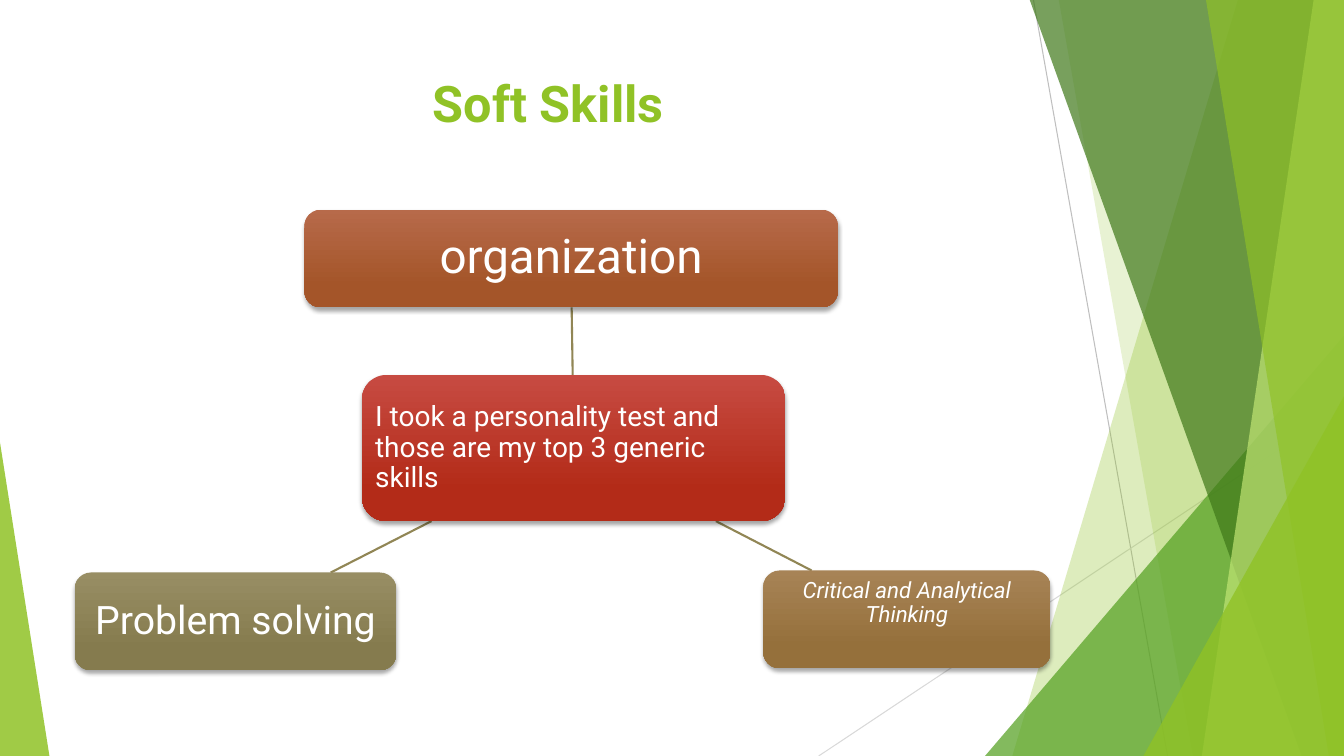
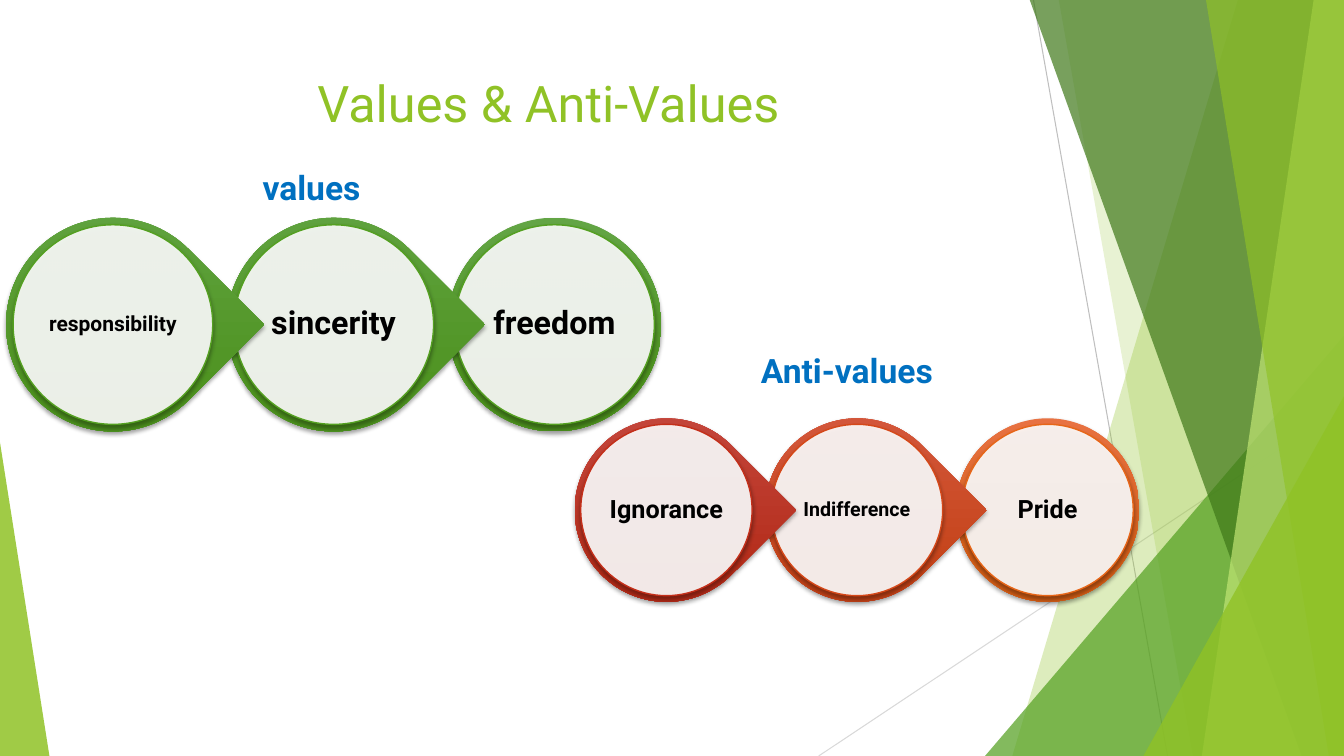
import pptx
import pptx.util
import pptx.dml.color
import pptx.enum.shapes
import pptx.enum.text
import pptx.oxml.ns
import lxml.etree

Inches = pptx.util.Inches
Pt = pptx.util.Pt
RGBColor = pptx.dml.color.RGBColor
SHAPE = pptx.enum.shapes.MSO_SHAPE
STRAIGHT = pptx.enum.shapes.MSO_CONNECTOR.STRAIGHT
ALIGN = pptx.enum.text.PP_ALIGN
ANCHOR = pptx.enum.text.MSO_ANCHOR
qn = pptx.oxml.ns.qn

WIDTH, HEIGHT = 13.33, 7.5
FONT = "Roboto"
WHITE = RGBColor(0xFF, 0xFF, 0xFF)
BLACK = RGBColor(0x00, 0x00, 0x00)
LIME = RGBColor(0x90, 0xC2, 0x26)
PALE_LIME = RGBColor(0xC0, 0xE4, 0x74)
GREEN = RGBColor(0x54, 0xA0, 0x21)
DARK_GREEN = RGBColor(0x3F, 0x78, 0x19)
GREY = RGBColor(0xBF, 0xBF, 0xBF)
LIGHT_GREY = RGBColor(0xD9, 0xD9, 0xD9)
BLUE = RGBColor(0x00, 0x70, 0xC0)
OLIVE_LINE = RGBColor(0x91, 0x86, 0x55)
RED = RGBColor(0xC4, 0x2F, 0x1A)
VERMILION = RGBColor(0xD5, 0x48, 0x19)
ORANGE = RGBColor(0xE7, 0x66, 0x18)
GREEN_BLEND = (RGBColor(0x63, 0xA5, 0x45), RGBColor(0x4D, 0x92, 0x1E))
RED_BLEND = (RGBColor(0xC7, 0x4B, 0x42), RGBColor(0xB3, 0x2B, 0x18))
VERMILION_BLEND = (RGBColor(0xD7, 0x5B, 0x42), RGBColor(0xC3, 0x42, 0x17))
ORANGE_BLEND = (RGBColor(0xE8, 0x72, 0x42), RGBColor(0xD3, 0x5D, 0x16))
SIENNA_BLEND = (RGBColor(0xB7, 0x6A, 0x4A), RGBColor(0xA4, 0x55, 0x29))
BROWN_BLEND = (RGBColor(0xA7, 0x83, 0x56), RGBColor(0x95, 0x70, 0x3B))
OLIVE_BLEND = (RGBColor(0x98, 0x8E, 0x64), RGBColor(0x85, 0x7B, 0x4E))


def paint(shape, colours, opacity=100, shadow=True):
    properties = shape._element.spPr
    shape.line.fill.background()
    if len(colours) == 2:
        shape.fill.gradient()
        shape.fill.gradient_angle = 270 + shape.rotation
        for stop, colour, position in zip(shape.fill.gradient_stops, colours, (0, 0.78)):
            stop.color.rgb = colour
            stop.position = position
    else:
        shape.fill.solid()
        shape.fill.fore_color.rgb = colours[0]
        colour_node = properties.find(qn("a:solidFill"))[0]
        lxml.etree.SubElement(colour_node, qn("a:alpha"), val=str(opacity * 1000))
    shape.shadow.inherit = False
    if shadow:
        effects = properties.find(qn("a:effectLst"))
        outer = lxml.etree.SubElement(
            effects, qn("a:outerShdw"), blurRad=str(Pt(3)), dist=str(Pt(2)),
            dir="5400000", algn="ctr", rotWithShape="0")
        black = lxml.etree.SubElement(outer, qn("a:srgbClr"), val="000000")
        lxml.etree.SubElement(black, qn("a:alpha"), val="35000")


def write(shape, text, size, colour, bold=False, italic=False, align=ALIGN.CENTER,
          anchor=ANCHOR.MIDDLE, margin=None, spacing=0.9):
    frame = shape.text_frame
    frame.text = text
    frame.word_wrap = True
    frame.vertical_anchor = anchor
    if margin is not None:
        frame.margin_left = frame.margin_right = Inches(margin)
        frame.margin_top = frame.margin_bottom = Inches(margin)
    paragraph = frame.paragraphs[0]
    paragraph.alignment = align
    paragraph.line_spacing = spacing
    font = paragraph.runs[0].font
    font.name, font.size, font.bold, font.italic = FONT, Pt(size), bold, italic
    font.color.rgb = colour


presentation = pptx.Presentation()
presentation.slide_width = Inches(WIDTH)
presentation.slide_height = Inches(HEIGHT)

backdrop_lines = [
    (10.25, 0, 11.58, 7.5, GREY, 0.75),
    (13.33, 4.03, 8.12, 7.5, LIGHT_GREY, 0.75),
]
backdrop_pieces = [
    ("band", (12.28, 10.04), LIME, 30),
    ("band", (10.5, 11.83), LIME, 20),
    ("right corner", (3.56, 4.17), GREEN, 72),
    ("band", (10.21, 12.91), DARK_GREEN, 70),
    ("band", (13.03, 11.92), PALE_LIME, 70),
    ("band", (11.96, 13.18), LIME, 65),
    ("right corner", (1.99, 3.57), LIME, 80),
    ("left corner", (0.49, 3.11), LIME, 85),
]
skill_links = [
    (5.68, 3.72, 5.67, 3.05, OLIVE_LINE, 1.5),
    (7.1, 5.17, 8.05, 5.66, OLIVE_LINE, 1.5),
    (4.28, 5.17, 3.28, 5.68, OLIVE_LINE, 1.5),
]

slides = []
for title, title_bold, links in [
    ("Soft Skills", True, skill_links),
    ("Values & Anti-Values", False, []),
]:
    slide = presentation.slides.add_slide(presentation.slide_layouts[6])
    slides.append(slide)
    for x1, y1, x2, y2, colour, weight in backdrop_lines + links:
        line = slide.shapes.add_connector(
            STRAIGHT, Inches(x1), Inches(y1), Inches(x2), Inches(y2))
        line.line.color.rgb = colour
        line.line.width = Pt(weight)
        lxml.etree.SubElement(line._element.spPr, qn("a:effectLst"))
    for kind, (first, second), colour, opacity in backdrop_pieces:
        if kind == "band":
            outline = slide.shapes.build_freeform(Inches(first), Inches(-0.01))
            outline.add_line_segments([
                (Inches(WIDTH), Inches(-0.01)),
                (Inches(WIDTH), Inches(HEIGHT)),
                (Inches(second), Inches(HEIGHT)),
            ])
            piece = outline.convert_to_shape()
        else:
            on_right = kind == "right corner"
            piece = slide.shapes.add_shape(
                SHAPE.ISOSCELES_TRIANGLE, Inches(WIDTH - first if on_right else 0),
                Inches(HEIGHT - second), Inches(first), Inches(second))
            piece.adjustments[0] = 1 if on_right else 0
        paint(piece, [colour], opacity, shadow=False)
    title_box = slide.shapes.add_textbox(Inches(0.74), Inches(0.67), Inches(9.4), Inches(1.44))
    write(title_box, title, 36, LIME, bold=title_bold, anchor=ANCHOR.TOP, spacing=1)

skills_slide, values_slide = slides

skill_cards = [
    ((3.59, 3.72, 4.2, 1.45), RED_BLEND,
     "I took a personality test and those are my top 3 generic skills", 20, 0.06,
     {"align": ALIGN.LEFT}),
    ((3.02, 2.08, 5.29, 0.97), SIENNA_BLEND, "organization", 34, 0.09, {}),
    ((7.57, 5.66, 2.85, 0.97), BROWN_BLEND, "Critical and Analytical Thinking", 16, 0.04,
     {"italic": True, "anchor": ANCHOR.TOP}),
    ((0.74, 5.68, 3.19, 0.97), OLIVE_BLEND, "Problem solving", 28, 0.08, {}),
]
for box, blend, text, size, margin, options in skill_cards:
    card = skills_slide.shapes.add_shape(
        SHAPE.ROUNDED_RECTANGLE, *[Inches(length) for length in box])
    paint(card, blend)
    write(card, text, size, WHITE, margin=margin, **options)

chains = [
    (0.06, 2.16, 2.12, 2.19, 0.07, [
        ("responsibility", 15, GREEN_BLEND, GREEN),
        ("sincerity", 23, GREEN_BLEND, GREEN),
        ("freedom", 23, GREEN_BLEND, GREEN),
    ]),
    (5.7, 4.15, 1.82, 1.89, 0.06, [
        ("Ignorance", 18, RED_BLEND, RED),
        ("Indifference", 14, VERMILION_BLEND, VERMILION),
        ("Pride", 18, ORANGE_BLEND, ORANGE),
    ]),
]
for left, top, diameter, step, rim, links in chains:
    last = len(links) - 1
    for index in range(last, -1, -1):
        text, size, blend, outline_colour = links[index]
        x = left + index * step
        ring = values_slide.shapes.add_shape(
            SHAPE.OVAL if index == last else SHAPE.TEAR,
            Inches(x), Inches(top), Inches(diameter), Inches(diameter))
        ring.rotation = 0 if index == last else 45
        paint(ring, blend)
        inner = Inches(diameter - 2 * rim)
        disc = values_slide.shapes.add_shape(
            SHAPE.OVAL, Inches(x + rim), Inches(top + rim), inner, inner)
        paint(disc, [WHITE], 90)
        disc.line.color.rgb = outline_colour
        disc.line.width = Pt(1)
        write(disc, text, size, BLACK, bold=True, margin=0.02)

for text, left, top in [("values", 1.07, 1.61), ("Anti-values", 6.38, 3.42)]:
    heading = values_slide.shapes.add_textbox(Inches(left), Inches(top), Inches(4.04), Inches(0.5))
    write(heading, text, 24, BLUE, bold=True, anchor=ANCHOR.TOP, spacing=1)

presentation.save("out.pptx")
